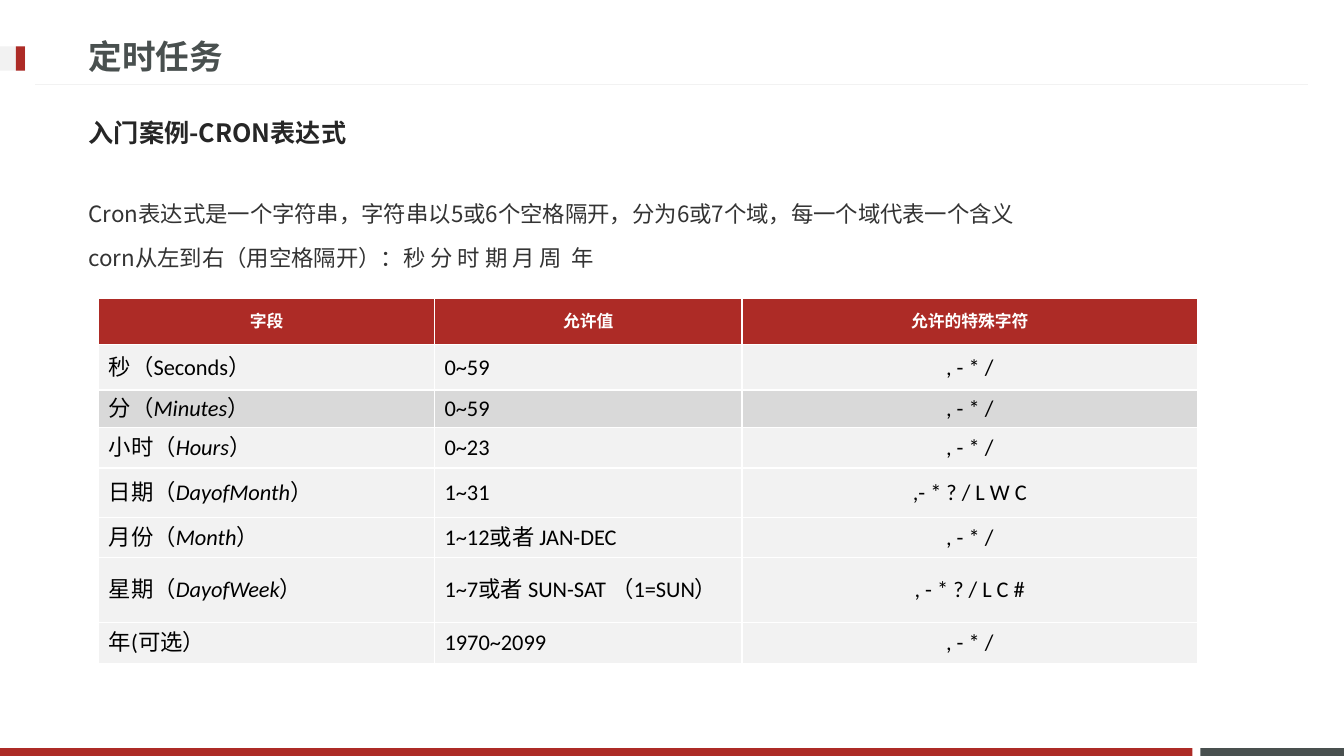
"""Build the slide that explains the fields of a cron expression."""
from dataclasses import dataclass

from lxml.etree import SubElement
from pptx import Presentation
from pptx.dml.color import RGBColor
from pptx.enum.shapes import MSO_CONNECTOR, MSO_SHAPE
from pptx.enum.text import MSO_ANCHOR, MSO_AUTO_SIZE, PP_ALIGN
from pptx.oxml.ns import qn
from pptx.slide import Slide
from pptx.util import Cm, Pt


@dataclass(frozen=True)
class Theme:
    """Colours, fonts and type sizes of the slide."""
    red: str = "AD2B26"
    slate: str = "49504F"
    pale: str = "F2F2F2"
    grey: str = "D9D9D9"
    white: str = "FFFFFF"
    black: str = "000000"
    heading: str = "262626"
    copy: str = "333333"
    title_font: str = "Noto Sans Mono"
    heading_font: str = "Noto Sans CJK JP"
    copy_font: str = "Noto Sans CJK SC"
    table_font: str = "Calibri"
    title_size: int = 24
    heading_size: int = 18
    copy_size: int = 16
    header_size: int = 12


def add_span(para, text, *, font, size, color, bold=False, italic=False):
    """Add one formatted run of text to a paragraph."""
    span = para.add_run()
    span.text = text
    span.font.name = font
    span.font.size = Pt(size)
    span.font.bold = bold
    span.font.italic = italic
    span.font.color.rgb = RGBColor.from_string(color)
    SubElement(span.font._element, qn("a:ea")).set("typeface", font)


@dataclass
class Painter:
    """Draws each kind of element on the current page in one style."""
    theme: Theme
    page: Slide

    def bar(self, left, top, width, height, color):
        """Draw a plain filled rectangle."""
        box = self.page.shapes.add_shape(
            MSO_SHAPE.RECTANGLE, Cm(left), Cm(top), Cm(width), Cm(height))
        box.shadow.inherit = False
        box.fill.solid()
        box.fill.fore_color.rgb = RGBColor.from_string(color)
        box.line.fill.background()

    def rule(self, left, right, top, color):
        """Draw a thin horizontal line."""
        line = self.page.shapes.add_connector(
            MSO_CONNECTOR.STRAIGHT, Cm(left), Cm(top), Cm(right), Cm(top))
        line.line.color.rgb = RGBColor.from_string(color)
        line.line.width = Pt(0.75)
        SubElement(line._element.spPr, qn("a:effectLst"))

    def placeholder(self, index, area, lines, *, anchor=MSO_ANCHOR.MIDDLE,
                    spacing=1.0, **style):
        """Move a template placeholder and fill it with unbulleted lines."""
        box = self.page.placeholders[index]
        box.left, box.top, box.width, box.height = map(Cm, area)
        frame = box.text_frame
        frame.word_wrap = True
        frame.auto_size = MSO_AUTO_SIZE.NONE
        frame.vertical_anchor = anchor
        for number, text in enumerate(lines):
            para = frame.add_paragraph() if number else frame.paragraphs[0]
            para.alignment = PP_ALIGN.LEFT
            para.line_spacing = spacing
            properties = para._p.get_or_add_pPr()
            properties.set("marL", "0")
            properties.set("indent", "0")
            SubElement(properties, qn("a:buNone"))
            add_span(para, text, **style)

    def cell(self, cell, spans, fill, align, **style):
        """Fill one table cell, with every second span in italics."""
        cell.fill.solid()
        cell.fill.fore_color.rgb = RGBColor.from_string(fill)
        cell.vertical_anchor = MSO_ANCHOR.MIDDLE
        para = cell.text_frame.paragraphs[0]
        para.alignment = align
        for number, text in enumerate(spans):
            add_span(para, text, font=self.theme.table_font,
                     italic=number % 2 == 1, **style)

    def table(self, left, top, widths, heights, header, rows, shaded_row):
        """Draw a table with a red header and one shaded row."""
        theme = self.theme
        grid = self.page.shapes.add_table(
            len(heights), len(widths), Cm(left), Cm(top),
            Cm(sum(widths)), Cm(sum(heights))).table
        grid.horz_banding = False
        for column, width in zip(grid.columns, widths):
            column.width = Cm(width)
        for row, height in zip(grid.rows, heights):
            row.height = Cm(height)
        for column, text in enumerate(header):
            self.cell(grid.cell(0, column), [text], theme.red, PP_ALIGN.CENTER,
                      size=theme.header_size, color=theme.white, bold=True)
        aligns = (PP_ALIGN.LEFT, PP_ALIGN.LEFT, PP_ALIGN.CENTER)
        for number, (field, values, symbols) in enumerate(rows, 1):
            fill = theme.grey if number == shaded_row else theme.pale
            for column, spans in enumerate((field, [values], [symbols])):
                self.cell(grid.cell(number, column), spans, fill, aligns[column],
                          size=theme.copy_size, color=theme.black)


HEADER = ("字段", "允许值", "允许的特殊字符")
FIELDS = (
    (["秒（Seconds）"], "0~59", ", - * /"),
    (["分（", "Minutes", "）"], "0~59", ", - * /"),
    (["小时（", "Hours", "）"], "0~23", ", - * /"),
    (["日期（", "DayofMonth", "）"], "1~31", ",- * ? / L W C"),
    (["月份（", "Month", "）"], "1~12或者 JAN-DEC", ", - * /"),
    (["星期（", "DayofWeek", "）"], "1~7或者 SUN-SAT （1=SUN）", ", - * ? / L C #"),
    (["年(可选）"], "1970~2099", ", - * /"),
)
EXPLANATION = (
    "Cron表达式是一个字符串，字符串以5或6个空格隔开，分为6或7个域，每一个域代表一个含义",
    "corn从左到右（用空格隔开）：秒 分 时 期 月 周  年",
)


def main():
    """Build the deck and save it."""
    theme = Theme()
    deck = Presentation()
    deck.slide_width, deck.slide_height = Cm(33.87), Cm(19.05)
    painter = Painter(theme, deck.slides.add_slide(deck.slide_layouts[3]))

    painter.bar(30.25, 18.85, 3.62, 0.2, theme.slate)
    painter.bar(0, 18.85, 30.05, 0.2, theme.red)
    painter.rule(0.89, 32.97, 2.13, theme.pale)
    painter.bar(0, 1.17, 0.64, 0.61, theme.pale)
    painter.bar(0.4, 1.17, 0.23, 0.61, theme.red)

    painter.placeholder(0, (1.98, 0.69, 24.36, 1.45), ["定时任务"], bold=True,
                        font=theme.title_font, size=theme.title_size,
                        color=theme.slate)
    painter.placeholder(1, (1.98, 2.62, 29.87, 1.45), ["入门案例-CRON表达式"],
                        bold=True, font=theme.heading_font,
                        size=theme.heading_size, color=theme.heading)
    painter.placeholder(2, (1.98, 4.57, 29.87, 2.44), EXPLANATION,
                        anchor=MSO_ANCHOR.TOP, spacing=1.5,
                        font=theme.copy_font, size=theme.copy_size,
                        color=theme.copy)
    painter.table(2.49, 7.52, (8.46, 7.75, 11.48),
                  (1.17, 1.14, 0.94, 1.02, 1.24, 1.02, 1.02, 1.02),
                  HEADER, FIELDS, shaded_row=2)
    deck.save("out.pptx")


if __name__ == "__main__":
    main()
